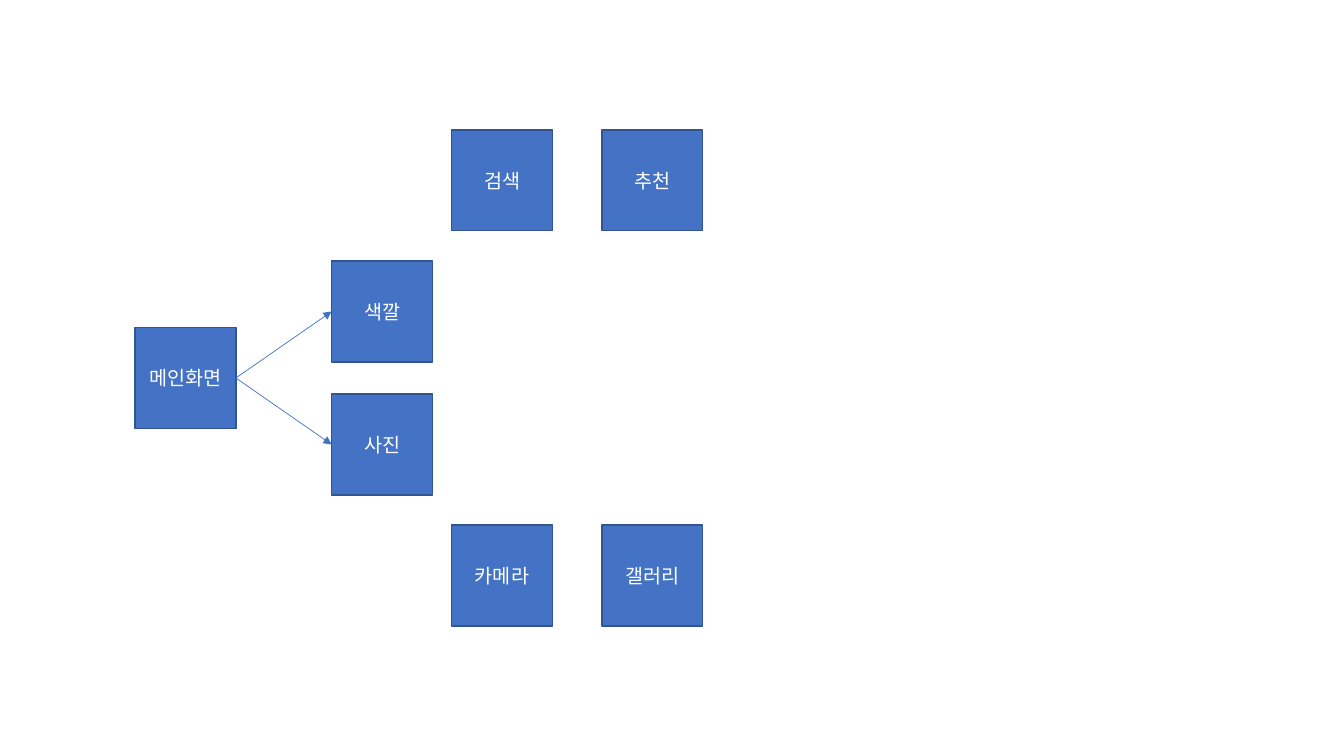
from pptx import Presentation
from pptx.dml.color import RGBColor
from pptx.enum.shapes import MSO_CONNECTOR, MSO_SHAPE
from pptx.enum.text import MSO_ANCHOR, PP_ALIGN
from pptx.oxml.ns import qn
from pptx.util import Inches, Pt
from lxml import etree

RECT = MSO_SHAPE.RECTANGLE
STRAIGHT = MSO_CONNECTOR.STRAIGHT
MIDDLE = MSO_ANCHOR.MIDDLE
CENTER = PP_ALIGN.CENTER

BLUE = RGBColor(0x44, 0x72, 0xC4)
NAVY = RGBColor(0x32, 0x54, 0x91)
WHITE = RGBColor(0xFF, 0xFF, 0xFF)
FONT = "Noto Sans CJK KR"

SIDE = 1
LEFT, RIGHT = 1, 3
MAIN_X, MODE_X = 1.34, 3.29
STEP_X = (4.48, 5.97)
MID_Y = 3.25
MODE_GAP, STEP_GAP = 0.66, 1.96
MODES = (("색깔", -1, ("검색", "추천")), ("사진", 1, ("카메라", "갤러리")))


def put_text(shape, text, size=14, color=WHITE, font=FONT, align=CENTER):
    frame = shape.text_frame
    frame.word_wrap = True
    frame.vertical_anchor = MIDDLE
    para = frame.paragraphs[0]
    para.alignment = align
    run = para.add_run()
    run.text = text
    run.font.size = Pt(size)
    run.font.name = font
    run.font.color.rgb = color
    east = etree.SubElement(run.font._element, qn("a:ea"))
    east.set("typeface", font)


def add_box(slide, text, x, y):
    box = slide.shapes.add_shape(
        RECT, Inches(x), Inches(y), Inches(SIDE), Inches(SIDE))
    box.shadow.inherit = False
    box.fill.solid()
    box.fill.fore_color.rgb = BLUE
    box.line.color.rgb = NAVY
    box.line.width = Pt(1)
    put_text(box, text)
    return box


def add_arrow(slide, start, end):
    arrow = slide.shapes.add_connector(STRAIGHT, 0, 0, 0, 0)
    arrow.begin_connect(start, RIGHT)
    arrow.end_connect(end, LEFT)
    arrow.line.color.rgb = BLUE
    arrow.line.width = Pt(0.5)
    props = arrow._element.spPr
    tip = etree.SubElement(props.find(qn("a:ln")), qn("a:tailEnd"))
    tip.set("type", "triangle")
    etree.SubElement(props, qn("a:effectLst"))


def main():
    deck = Presentation()
    deck.slide_width = Inches(13.33)
    deck.slide_height = Inches(7.5)
    slide = deck.slides.add_slide(deck.slide_layouts[6])

    home = add_box(slide, "메인화면", MAIN_X, MID_Y)
    for name, side, steps in MODES:
        mode = add_box(slide, name, MODE_X, MID_Y + side * MODE_GAP)
        add_arrow(slide, home, mode)
        for step, x in zip(steps, STEP_X):
            add_box(slide, step, x, MID_Y + side * STEP_GAP)

    deck.save("out.pptx")


main()
